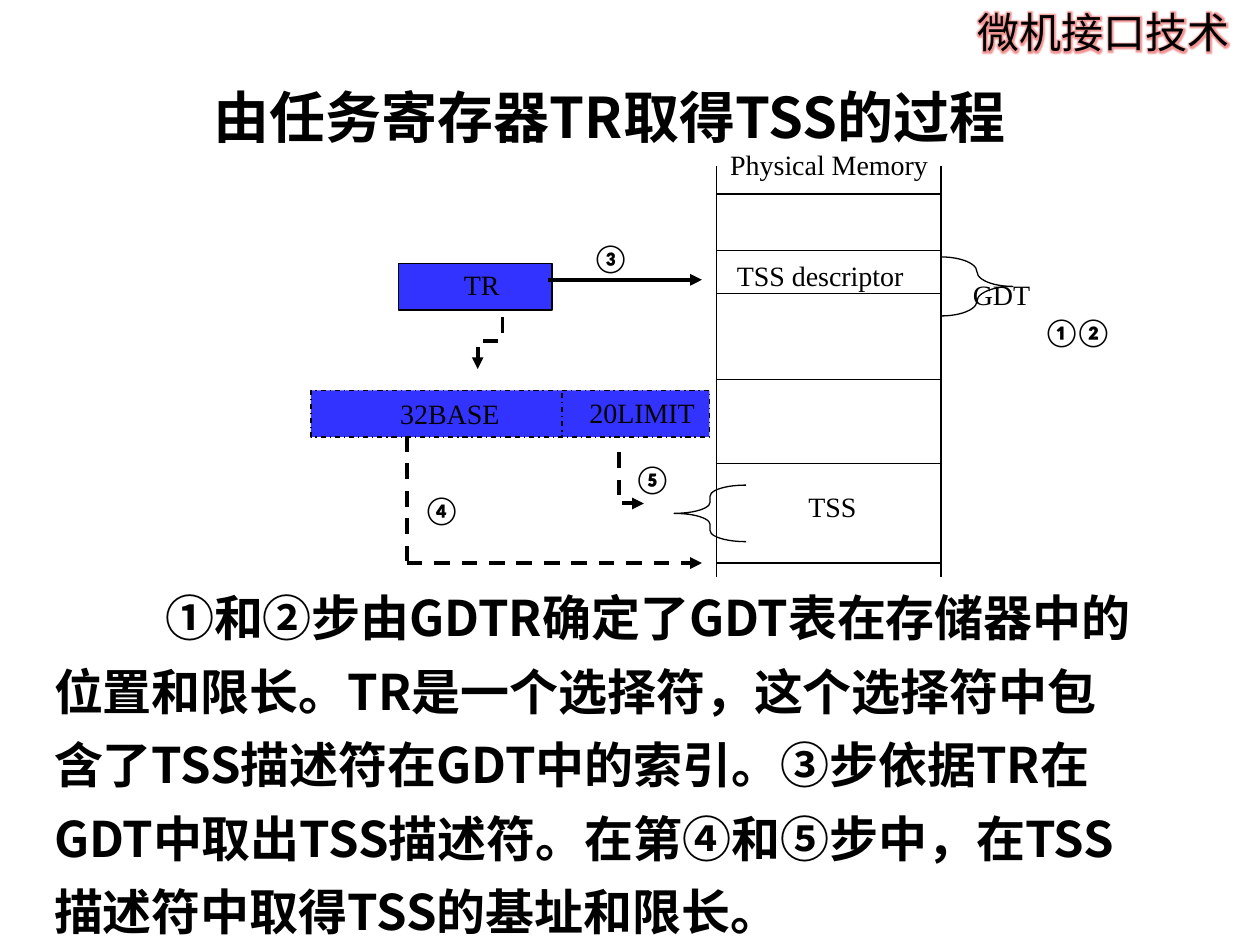
from lxml.etree import SubElement
from pptx import Presentation
from pptx.dml.color import RGBColor
from pptx.enum.dml import MSO_LINE_DASH_STYLE as Dash
from pptx.enum.shapes import MSO_CONNECTOR, MSO_SHAPE as Preset
from pptx.enum.text import MSO_ANCHOR as Anchor, MSO_AUTO_SIZE as AutoSize, PP_ALIGN as Align
from pptx.oxml.ns import qn
from pptx.util import Cm, Pt

BLACK = RGBColor(0x00, 0x00, 0x00)
BLUE = RGBColor(0x33, 0x33, 0xFF)
GLOW = RGBColor(0xE6, 0x4B, 0x4B)
CJK, LATIN, DIGIT = "Noto Sans CJK SC", "Times New Roman", "Calibri"

# Memory column: edges, ends and row borders in cm
MEM_LEFT, MEM_RIGHT = 14.45, 18.97
MEM_TOP, MEM_BOTTOM = 3.35, 11.63
ROW_BORDERS = (3.91, 5.05, 5.92, 7.65, 9.35, 11.35)
ARROW_END = 14.15

STEPS = [("①", 21.03, 6.35), ("②", 21.67, 6.35), ("③", 11.94, 4.85),
         ("④", 8.53, 9.93), ("⑤", 12.78, 9.3)]
LABELS = [("Physical Memory", 14.43, 2.84, 4.57), ("GDT", 19.35, 5.46, 1.68),
          ("TSS", 16.03, 9.73, 1.5), ("TSS descriptor", 14.58, 5.08, 3.91),
          ("TR", 9.09, 5.26, 1.24), ("32BASE", 7.8, 7.87, 2.54),
          ("20LIMIT", 11.61, 7.85, 2.67)]
EXPLANATION = ("①和②步由GDTR确定了GDT表在存储器中的位置和限长。TR是一个选择符，"
               "这个选择符中包含了TSS描述符在GDT中的索引。③步依据TR在GDT中取出TSS描述符。"
               "在第④和⑤步中，在TSS描述符中取得TSS的基址和限长。")


def style_text(paragraph, font_name, size, bold=False, align=None):
    paragraph.alignment = align
    font = paragraph.font
    font.size, font.bold, font.name = Pt(size), bold, font_name
    font.color.rgb = BLACK
    SubElement(font._element, qn("a:ea")).set("typeface", font_name)


def add_text(slide, text, left, top, width, height, font_name, size, bold=False, align=None):
    box = slide.shapes.add_textbox(Cm(left), Cm(top), Cm(width), Cm(height))
    box.text_frame.word_wrap = True
    box.text_frame.text = text
    style_text(box.text_frame.paragraphs[0], font_name, size, bold, align)
    return box.text_frame


def add_label(slide, text, left, top, width):
    frame = add_text(slide, text, left, top, width, 0.94, LATIN, 16, align=Align.CENTER)
    frame.word_wrap = False
    frame.auto_size = AutoSize.SHAPE_TO_FIT_TEXT
    frame.vertical_anchor = Anchor.MIDDLE


def add_step(slide, text, left, top):
    frame = add_text(slide, text, left, top, 0.64, 0.58, DIGIT, 16, True, Align.JUSTIFY)
    frame.margin_left = frame.margin_right = frame.margin_top = frame.margin_bottom = 0


def style_line(line, weight=0.75, dash=None, arrow=False):
    line.color.rgb = BLACK
    line.width = Pt(weight)
    if dash:
        line.dash_style = dash
    if arrow:
        SubElement(line._get_or_add_ln(), qn("a:tailEnd")).set("type", "triangle")


def add_line(slide, x1, y1, x2, y2, **look):
    connector = slide.shapes.add_connector(
        MSO_CONNECTOR.STRAIGHT, Cm(x1), Cm(y1), Cm(x2), Cm(y2))
    style_line(connector.line, **look)
    SubElement(connector._element.spPr, qn("a:effectLst"))


def add_bent_arrow(slide, start, *corners):
    builder = slide.shapes.build_freeform(Cm(start[0]), Cm(start[1]))
    builder.add_line_segments([(Cm(x), Cm(y)) for x, y in corners], close=False)
    arrow = builder.convert_to_shape()
    arrow.fill.background()
    arrow.shadow.inherit = False
    style_line(arrow.line, 2.25, Dash.DASH, arrow=True)


def add_preset(slide, preset, left, top, width, height, fill=None, dash=None):
    shape = slide.shapes.add_shape(preset, Cm(left), Cm(top), Cm(width), Cm(height))
    shape.shadow.inherit = False
    if fill is None:
        shape.fill.background()
    else:
        shape.fill.solid()
        shape.fill.fore_color.rgb = fill
    style_line(shape.line, dash=dash)
    return shape


def add_course_name(slide):
    frame = add_text(slide, "微机接口技术", 19.46, 0, 5.94, 1.27, CJK, 24)
    run_props = frame.paragraphs[0].runs[0]._r.get_or_add_rPr()
    glow = SubElement(SubElement(run_props, qn("a:effectLst")), qn("a:glow"), rad=str(Pt(5)))
    color = SubElement(glow, qn("a:srgbClr"), val=str(GLOW))
    SubElement(color, qn("a:alpha"), val="60000")


def add_title(slide):
    title = slide.shapes.title
    title.left, title.top, title.width, title.height = Cm(1.07), Cm(1.07), Cm(22.43), Cm(2.54)
    title.text_frame.text = "由任务寄存器TR取得TSS的过程"
    title.text_frame.vertical_anchor = Anchor.MIDDLE
    style_text(title.text_frame.paragraphs[0], CJK, 32, True, Align.CENTER)


def add_explanation(slide):
    frame = add_text(slide, EXPLANATION, 0.84, 11.43, 22.43, 8.05, CJK, 28, True)
    paragraph = frame.paragraphs[0]
    paragraph.line_spacing = 1.25
    paragraph._p.get_or_add_pPr().set("indent", str(Cm(2.24)))


def add_memory(slide):
    for x in (MEM_LEFT, MEM_RIGHT):
        add_line(slide, x, MEM_TOP, x, MEM_BOTTOM)
    for y in ROW_BORDERS:
        add_line(slide, MEM_LEFT, y, MEM_RIGHT, y)
    gdt_brace = add_preset(slide, Preset.RIGHT_BRACE, MEM_RIGHT, 5.18, 1.45, 1.19)
    gdt_brace.adjustments[0] = 0.545
    tss_brace = add_preset(slide, Preset.LEFT_BRACE, 13.59, 9.78, 1.45, 1.14)
    tss_brace.adjustments[0] = 0.196


def add_registers(slide):
    add_preset(slide, Preset.RECTANGLE, 8.03, 5.31, 3.1, 0.94, BLUE)
    # Descriptor cache: base and limit
    add_preset(slide, Preset.RECTANGLE, 6.27, 7.87, 8.03, 0.94, BLUE, Dash.DASH_DOT)
    add_line(slide, 11.33, 7.92, 11.33, 8.79, dash=Dash.DASH_DOT)


def add_arrows(slide):
    # Selector to descriptor
    add_line(slide, 11.05, 5.64, ARROW_END, 5.64, weight=2.25, arrow=True)
    # TR to its cache
    add_bent_arrow(slide, (10.13, 6.4), (10.13, 6.87), (9.63, 6.87), (9.63, 7.44))
    # Base to the end of the TSS
    add_line(slide, 8.2, 8.79, 8.2, 11.35, weight=2.25, dash=Dash.DASH)
    add_line(slide, 8.2, 11.35, ARROW_END, 11.35, weight=2.25, dash=Dash.DASH, arrow=True)
    # Limit to the TSS size
    add_bent_arrow(slide, (12.47, 9.12), (12.47, 10.15), (12.98, 10.15))


def main():
    deck = Presentation()
    deck.slide_width, deck.slide_height = Cm(25.4), Cm(19.05)
    slide = deck.slides.add_slide(deck.slide_layouts[5])
    add_course_name(slide)
    add_title(slide)
    add_explanation(slide)
    add_memory(slide)
    add_registers(slide)
    add_arrows(slide)
    for step in STEPS:
        add_step(slide, *step)
    for label in LABELS:
        add_label(slide, *label)
    deck.save("out.pptx")


if __name__ == "__main__":
    main()
